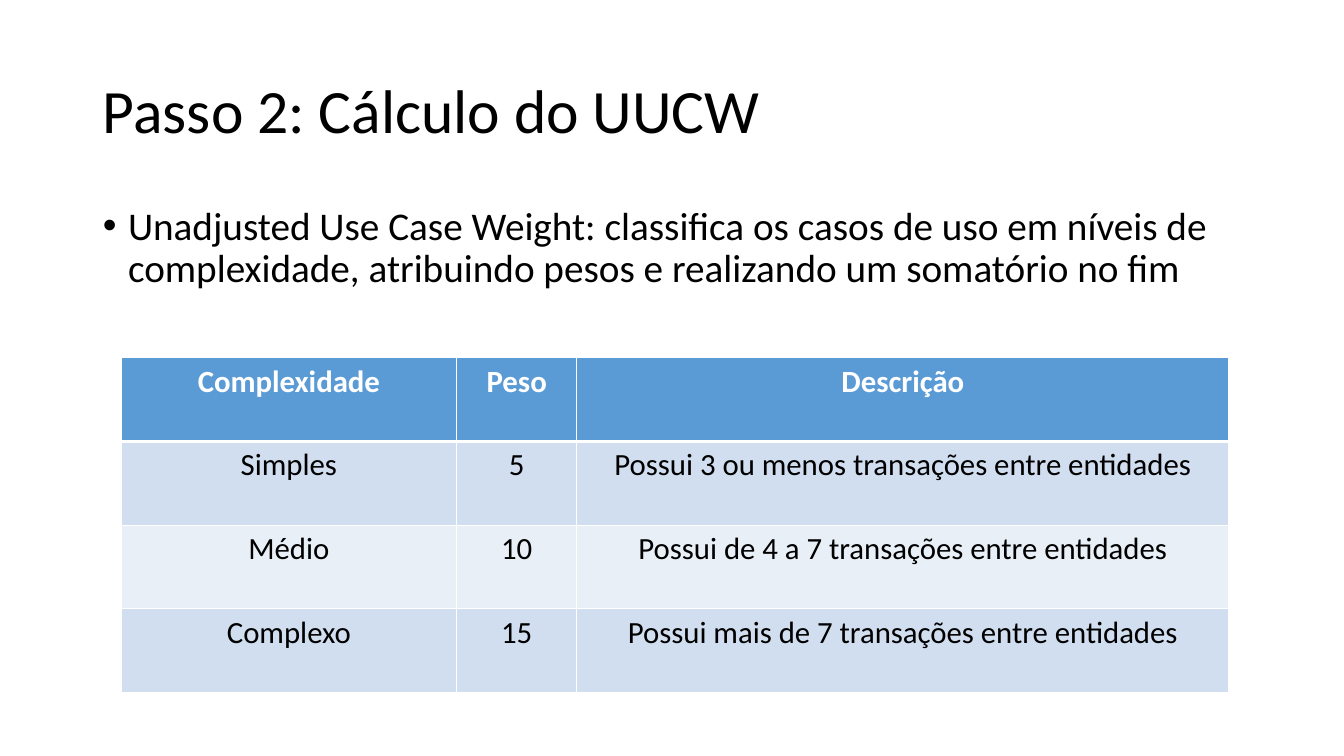
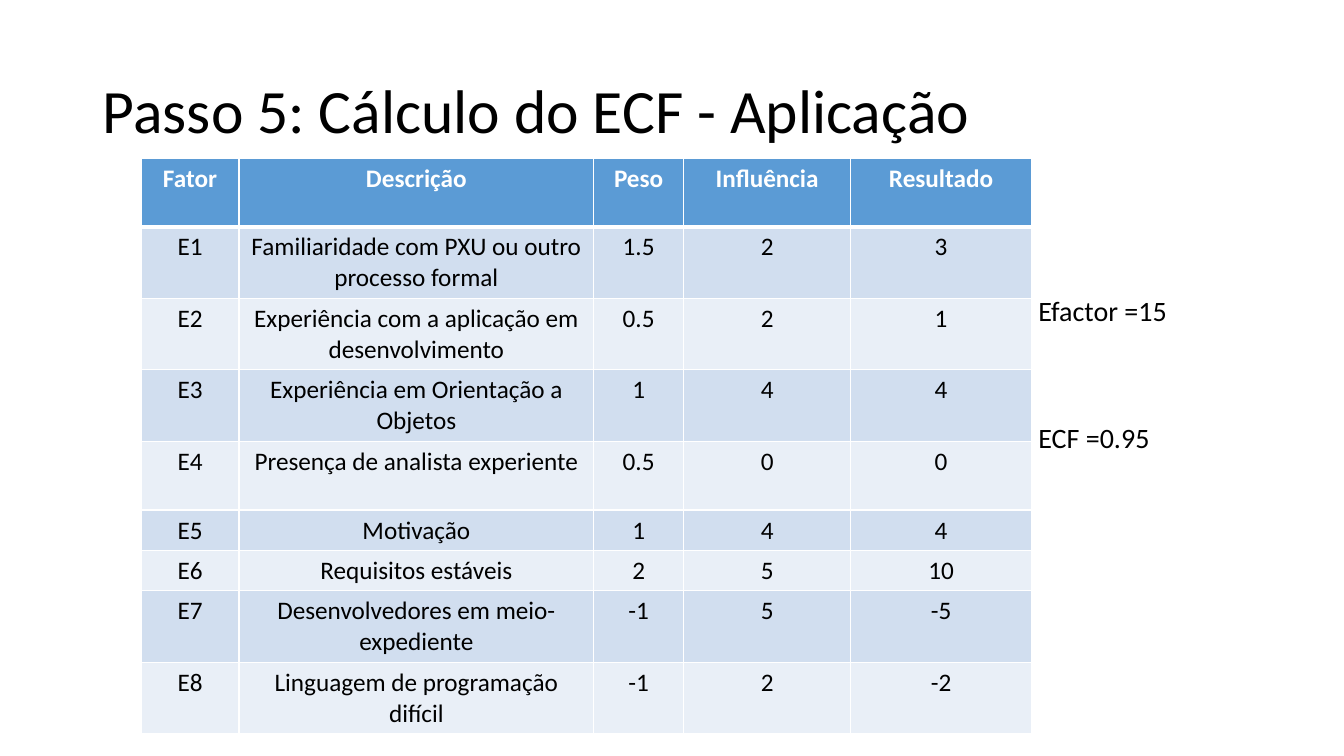
from lxml.etree import SubElement
from pptx import Presentation
from pptx.dml.color import RGBColor
from pptx.enum.text import MSO_ANCHOR, MSO_AUTO_SIZE, PP_ALIGN
from pptx.oxml.ns import qn
from pptx.util import Inches, Pt

FONT = "Calibri"
BLACK = RGBColor(0x00, 0x00, 0x00)
WHITE = RGBColor(0xFF, 0xFF, 0xFF)
HEADER_BLUE = RGBColor(0x5B, 0x9B, 0xD5)
BANDS = (RGBColor(0xD1, 0xDE, 0xEF), RGBColor(0xE9, 0xEF, 0xF7))
THIN, THICK = Pt(0.96), Pt(3)
TITLE_ONLY, TITLE_AND_BODY = 5, 1

# Content
WEIGHT_TITLE = "Passo 2: Cálculo do UUCW"
WEIGHT_TEXT = ("Unadjusted Use Case Weight: classifica os casos de uso em níveis de "
               "complexidade, atribuindo pesos e realizando um somatório no fim")
WEIGHT_TABLE = {
    "left": 1.2, "top": 3.55, "size": 22, "margin": 0.12,
    "columns": [3.33, 1.19, 6.47],
    "heights": [0.83] * 4,
    "rows": [
        ("Complexidade", "Peso", "Descrição"),
        ("Simples", "5", "Possui 3 ou menos transações entre entidades"),
        ("Médio", "10", "Possui de 4 a 7 transações entre entidades"),
        ("Complexo", "15", "Possui mais de 7 transações entre entidades"),
    ],
}

FACTOR_TITLE = "Passo 5: Cálculo do ECF - Aplicação"
FACTOR_RESULTS = [("Efactor =15", 2.86), ("ECF =0.95", 4.12)]
FACTOR_TABLE = {
    "left": 1.4, "top": 1.57, "size": 18, "margin": 0.1,
    "columns": [0.97, 3.52, 0.89, 1.66, 1.79],
    "heights": [0.68] + [0.71] * 3 + [0.68] + [0.4] * 2 + [0.71] * 2,
    "rows": [
        ("Fator", "Descrição", "Peso", "Influência", "Resultado"),
        ("E1", "Familiaridade com PXU ou outro processo formal", "1.5", "2", "3"),
        ("E2", "Experiência com a aplicação em desenvolvimento", "0.5", "2", "1"),
        ("E3", "Experiência em Orientação a Objetos", "1", "4", "4"),
        ("E4", "Presença de analista experiente", "0.5", "0", "0"),
        ("E5", "Motivação", "1", "4", "4"),
        ("E6", "Requisitos estáveis", "2", "5", "10"),
        ("E7", "Desenvolvedores em meio-expediente", "-1", "5", "-5"),
        ("E8", "Linguagem de programação difícil", "-1", "2", "-2"),
    ],
}


def write(text_frame, text, size, color=BLACK, bold=False, align=PP_ALIGN.LEFT):
    text_frame.text = text
    paragraph = text_frame.paragraphs[0]
    paragraph.alignment = align
    font = paragraph.runs[0].font
    font.name, font.size, font.bold = FONT, Pt(size), bold
    font.color.rgb = color
    return paragraph


def place(shape, left, top, width, height):
    shape.left, shape.top = Inches(left), Inches(top)
    shape.width, shape.height = Inches(width), Inches(height)


def fill_placeholder(shape, text, size, box, anchor):
    place(shape, *box)
    frame = shape.text_frame
    paragraph = write(frame, text, size)
    paragraph.line_spacing = 0.9
    paragraph.space_before = Pt(0)
    frame.word_wrap = True
    frame.auto_size = MSO_AUTO_SIZE.NONE
    frame.vertical_anchor = anchor
    return paragraph


def add_titled_slide(presentation, layout, title):
    slide = presentation.slides.add_slide(presentation.slide_layouts[layout])
    fill_placeholder(slide.shapes.title, title, 44, (0.92, 0.4, 11.5, 1.45),
                     MSO_ANCHOR.MIDDLE)
    return slide


def add_bullet(shape, text):
    paragraph = fill_placeholder(shape, text, 28, (0.92, 2, 11.5, 4.76), MSO_ANCHOR.TOP)
    properties = paragraph._p.get_or_add_pPr()
    properties.set("marL", str(Inches(0.25)))
    properties.set("indent", str(-Inches(0.25)))
    SubElement(properties, qn("a:buFont"), typeface="Arial")
    SubElement(properties, qn("a:buChar"), char="•")


def add_borders(cell, top, bottom):
    properties = cell._tc.get_or_add_tcPr()
    for side, width in (("L", THIN), ("R", THIN), ("T", top), ("B", bottom)):
        line = SubElement(properties, qn(f"a:ln{side}"), w=str(width))
        fill = SubElement(line, qn("a:solidFill"))
        SubElement(fill, qn("a:srgbClr"), val=str(WHITE))


def add_banded_table(slide, data):
    rows, columns, heights = data["rows"], data["columns"], data["heights"]
    table = slide.shapes.add_table(
        len(rows), len(columns), Inches(data["left"]), Inches(data["top"]),
        Inches(sum(columns)), Inches(sum(heights))).table
    for column, width in zip(table.columns, columns):
        column.width = Inches(width)
    for row, height in zip(table.rows, heights):
        row.height = Inches(height)
    for row_index, texts in enumerate(rows):
        header = row_index == 0
        for column_index, text in enumerate(texts):
            cell = table.cell(row_index, column_index)
            write(cell.text_frame, text, data["size"], WHITE if header else BLACK,
                  header, PP_ALIGN.CENTER)
            cell.margin_left = cell.margin_right = Inches(data["margin"])
            # The thick rule runs between the header and the first row
            add_borders(cell, THICK if row_index == 1 else THIN,
                        THICK if header else THIN)
            cell.fill.solid()
            cell.fill.fore_color.rgb = HEADER_BLUE if header else BANDS[(row_index - 1) % 2]


def main():
    presentation = Presentation()
    presentation.slide_width, presentation.slide_height = Inches(13.33), Inches(7.5)

    # Use case weights
    slide = add_titled_slide(presentation, TITLE_AND_BODY, WEIGHT_TITLE)
    add_bullet(slide.placeholders[1], WEIGHT_TEXT)
    add_banded_table(slide, WEIGHT_TABLE)

    # Environment factors and their results
    slide = add_titled_slide(presentation, TITLE_ONLY, FACTOR_TITLE)
    for text, top in FACTOR_RESULTS:
        box = slide.shapes.add_textbox(Inches(10.2), Inches(top), Inches(2.09), Inches(0.5))
        box.text_frame.word_wrap = True
        write(box.text_frame, text, 20)
    add_banded_table(slide, FACTOR_TABLE)

    presentation.save("out.pptx")


if __name__ == "__main__":
    main()
